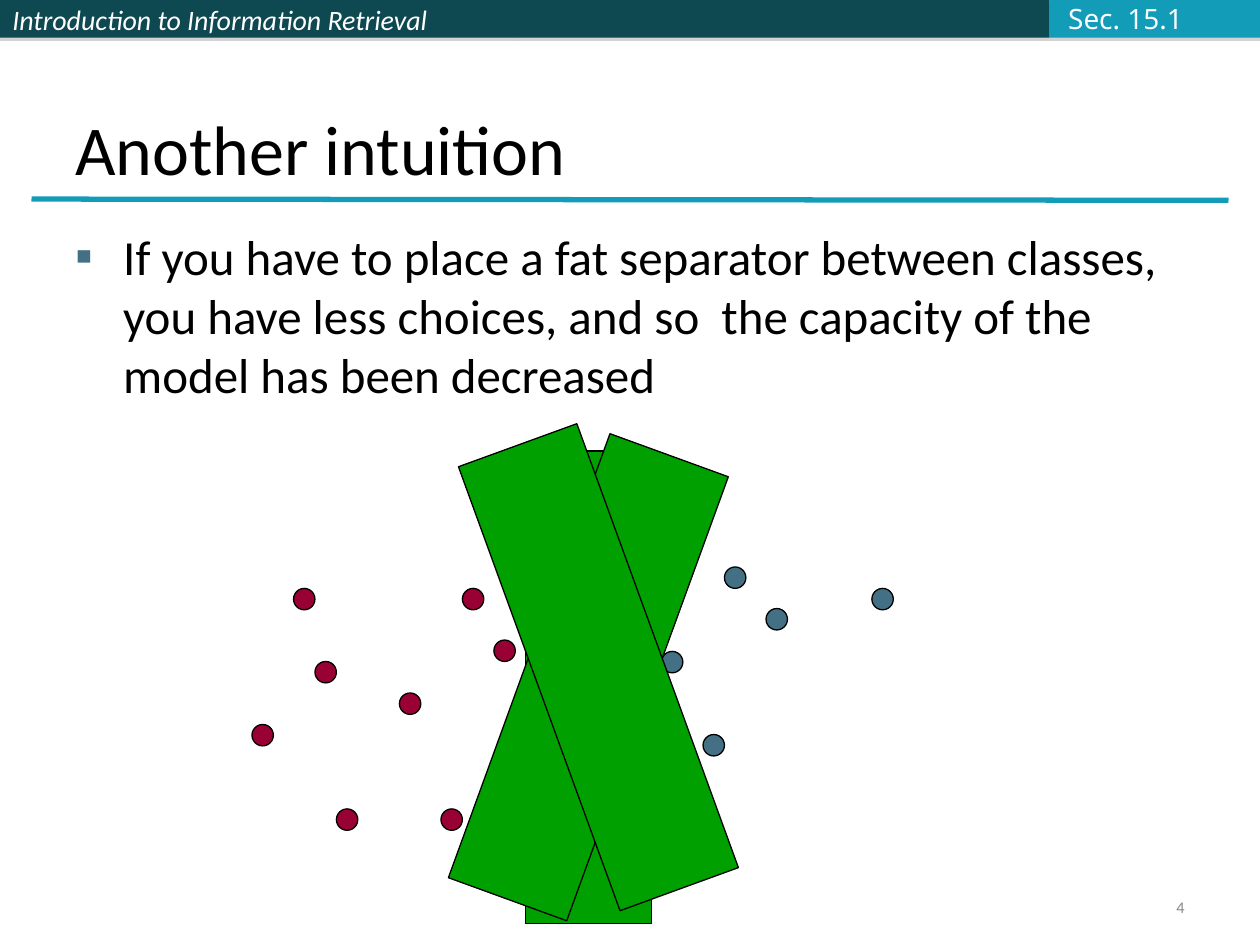
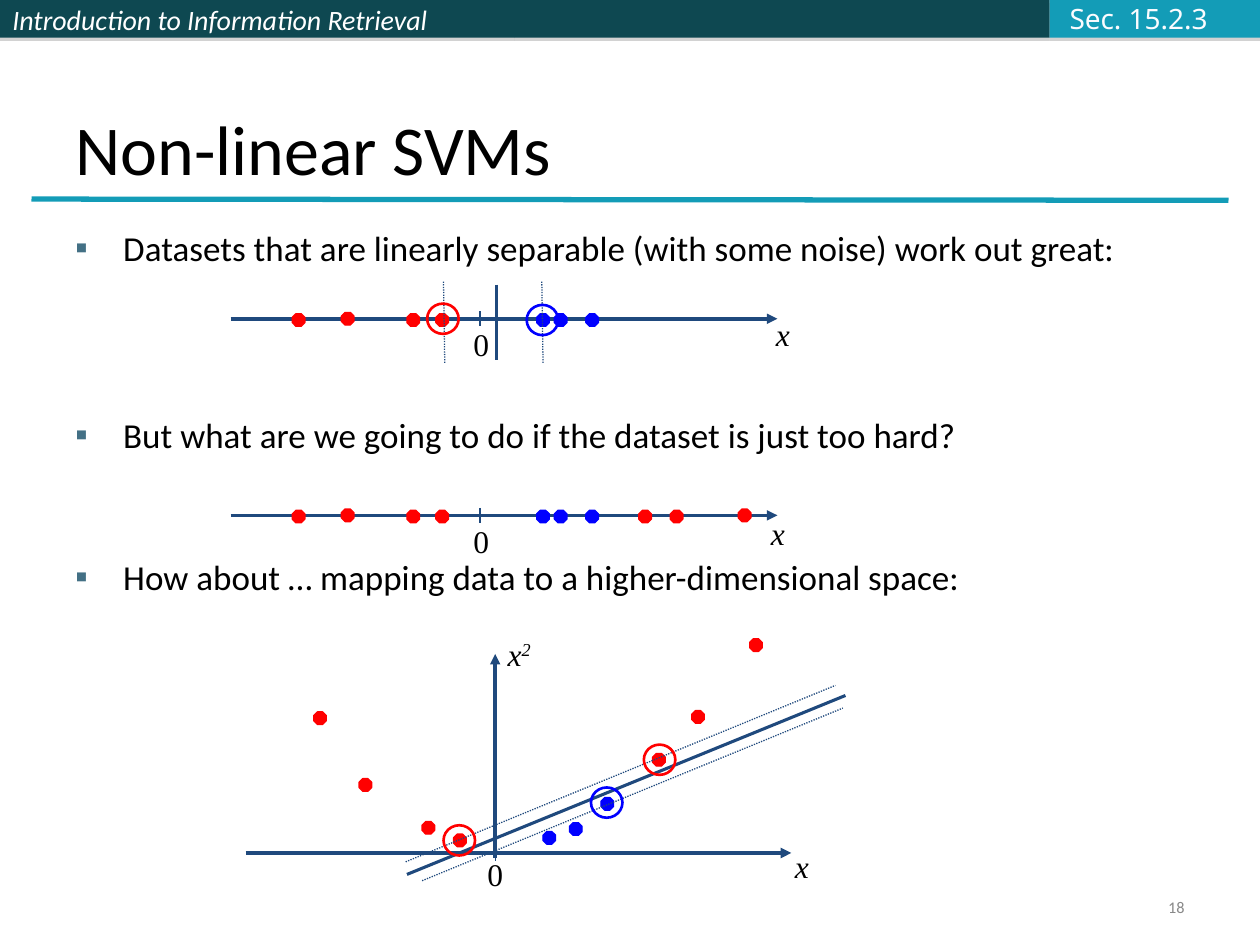
from lxml import etree
from pptx import Presentation
from pptx.dml.color import RGBColor
from pptx.enum.dml import MSO_LINE
from pptx.enum.shapes import MSO_CONNECTOR, MSO_SHAPE
from pptx.enum.text import MSO_ANCHOR, PP_ALIGN
from pptx.oxml.ns import qn
from pptx.util import Inches, Pt

RECTANGLE, OVAL, OCTAGON = MSO_SHAPE.RECTANGLE, MSO_SHAPE.OVAL, MSO_SHAPE.OCTAGON
STRAIGHT, DOTTED = MSO_CONNECTOR.STRAIGHT, MSO_LINE.ROUND_DOT
TOP, MIDDLE, BOTTOM = MSO_ANCHOR.TOP, MSO_ANCHOR.MIDDLE, MSO_ANCHOR.BOTTOM
LEFT, RIGHT = PP_ALIGN.LEFT, PP_ALIGN.RIGHT

COLORS = {
    "band": "0E4851", "accent": "139CB7", "shadow": "808080",
    "white": "FFFFFF", "section": "FBFCFF", "black": "000000",
    "number": "898989", "bullet": "437085", "crimson": "990033",
    "separator": "00A000", "axis": "1F497D", "red": "FF0000", "blue": "0000FF",
}

STYLES = {
    "header": {"color": "white", "anchor": MIDDLE,
               "font": {"name": "Calibri", "size": Pt(16), "italic": True}},
    "section": {"color": "section", "anchor": MIDDLE,
                "font": {"name": "Noto Sans", "size": Pt(16)}},
    "number": {"color": "number", "anchor": MIDDLE,
               "paragraph": {"alignment": RIGHT, "line_spacing": 0.8},
               "font": {"name": "Calibri", "size": Pt(9.3)}},
    "title": {"color": "black", "anchor": BOTTOM,
              "font": {"name": "Calibri", "size": Pt(40)}},
    "large body": {"color": "black", "gaps": [7],
                   "font": {"name": "Calibri", "size": Pt(28)}},
    "small body": {"color": "black", "gaps": [5, 83, 57],
                   "font": {"name": "Calibri", "size": Pt(20)}},
    "variable": {"color": "black",
                 "font": {"name": "Times New Roman", "size": Pt(18), "italic": True}},
    "origin": {"color": "black",
               "font": {"name": "Times New Roman", "size": Pt(18)}},
}


def add_shape(slide, kind, box, fill=None, line=None, width=0.75):
    shape = slide.shapes.add_shape(kind, *map(Inches, box))
    shape.shadow.inherit = False
    if fill:
        shape.fill.solid()
        shape.fill.fore_color.rgb = RGBColor.from_string(COLORS[fill])
    else:
        shape.fill.background()
    if line:
        shape.line.color.rgb = RGBColor.from_string(COLORS[line])
        shape.line.width = Pt(width)
    else:
        shape.line.fill.background()
    return shape


def add_line(slide, ends, color="axis", width=1.5, dotted=False, arrow=False):
    connector = slide.shapes.add_connector(STRAIGHT, *map(Inches, ends))
    connector.line.color.rgb = RGBColor.from_string(COLORS[color])
    connector.line.width = Pt(width)
    if dotted:
        connector.line.dash_style = DOTTED
    properties = connector._element.spPr
    if arrow:
        etree.SubElement(properties.find(qn("a:ln")), qn("a:tailEnd"), type="triangle")
    etree.SubElement(properties, qn("a:effectLst"))


presentation = Presentation()
presentation.slide_width = Inches(10)
presentation.slide_height = Inches(7.5)
blank_layout = presentation.slide_layouts[6]

contents = [
    ("Another intuition", "Sec. 15.1", 8.38, "4", "large body", [
        "If you have to place a fat separator between classes, you have less choices, "
        "and so  the capacity of the model has been decreased"]),
    ("Non-linear SVMs", "Sec. 15.2.3", 8.39, "18", "small body", [
        "Datasets that are linearly separable (with some noise) work out great:",
        "But what are we going to do if the dataset is just too hard?",
        "How about … mapping data to a higher-dimensional space:"]),
]
bands = [(0, 4.08, "band"), (4.08, 4.25, "band"), (8.33, 1.67, "accent")]
slides = []
texts = []
for title, section, section_left, number, body_style, bullets in contents:
    slide = presentation.slides.add_slide(blank_layout)
    slides.append(slide)
    band_shapes = []
    for left, width, color in bands:
        band = add_shape(slide, RECTANGLE, (left, 0, width, 0.3), color)
        effects = band._element.spPr.find(qn("a:effectLst"))
        shadow = etree.SubElement(effects, qn("a:outerShdw"), dist=str(Pt(1.8)), dir="5400000")
        shade = etree.SubElement(shadow, qn("a:srgbClr"), val=COLORS["shadow"])
        etree.SubElement(shade, qn("a:alpha"), val="35000")
        band_shapes.append(band)
    add_line(slide, (0.25, 1.58, 9.75, 1.59), "accent", 3)
    texts.append((band_shapes[0], "header", ["Introduction to Information Retrieval"]))
    for box, style_name, paragraphs in [
        ((section_left, -0.04, 1.6, 0.37), "section", [section]),
        ((7.17, 7.08, 2.33, 0.27), "number", [number]),
        ((0.5, 0.3, 9, 1.25), "title", [title]),
        ((0.5, 1.75, 9, 5.42), body_style, bullets),
    ]:
        text_box = slide.shapes.add_textbox(*map(Inches, box))
        texts.append((text_box, style_name, paragraphs))

intuition, svms = slides

class_points = {
    "crimson": [(2.33, 4.67), (2.5, 5.25), (2.67, 6.42), (3.67, 4.67),
                (2, 5.75), (3.17, 5.5), (3.92, 5.08), (3.5, 6.42)],
    "bullet": [(5.25, 5.17), (5.58, 5.83), (5.75, 4.5), (6.92, 4.67), (6.08, 4.83)],
}
for color, points in class_points.items():
    for left, top in points:
        add_shape(intuition, OVAL, (left, top, 0.17, 0.17), color, "black")
for left, top, rotation in [(4.17, 3.58, 0), (4.17, 3.5, 20), (4.25, 3.42, 340)]:
    separator = add_shape(intuition, RECTANGLE, (left, top, 1, 3.75), "separator", "black")
    separator.rotation = rotation

for axis_y in (2.53, 4.09):
    add_line(svms, (1.83, axis_y, 6.17, axis_y), width=2, arrow=True)
    add_line(svms, (3.81, axis_y - 0.06, 3.81, axis_y + 0.06))
add_line(svms, (1.95, 6.77, 6.28, 6.77), width=2, arrow=True)
add_line(svms, (3.93, 6.71, 3.93, 6.83), width=0.75)
add_line(svms, (3.93, 6.81, 3.93, 5.19), width=2, arrow=True)

easy_points = {
    "red": [(2.32, 0), (2.71, -0.01), (3.23, 0), (3.46, 0)],
    "blue": [(4.26, 0), (4.4, 0), (4.65, 0)],
}
hard_points = {
    "red": easy_points["red"] + [(5.07, 0), (5.32, 0), (5.86, -0.01)],
    "blue": easy_points["blue"],
}
mapped_points = {
    "red": [(2.49, 5.65), (2.85, 6.18), (3.35, 6.52), (3.6, 6.62),
            (5.18, 5.98), (5.49, 5.64), (5.95, 5.07)],
    "blue": [(4.31, 6.6), (4.52, 6.53), (4.77, 6.33)],
}
for base, dataset in [(2.49, easy_points), (4.05, hard_points), (0, mapped_points)]:
    for color, points in dataset.items():
        for left, rise in points:
            add_shape(svms, OCTAGON, (left, base + rise, 0.1, 0.1), color, color)

add_line(svms, (3.94, 2.26, 3.94, 2.86))
add_line(svms, (3.23, 6.94, 6.71, 5.52), width=1.75)
for margin in [(4.31, 2.88, 4.3, 2.23), (3.53, 2.88, 3.52, 2.23),
               (3.22, 6.84, 6.63, 5.44), (3.35, 6.99, 6.69, 5.62)]:
    add_line(svms, margin, width=0.75, dotted=True)

for left, top, color in [(4.18, 2.42, "blue"), (3.39, 2.41, "red"), (5.11, 5.91, "red"),
                         (4.69, 6.25, "blue"), (3.52, 6.55, "red")]:
    add_shape(svms, OVAL, (left, top, 0.25, 0.24), line=color, width=1.5)

for label, left, top, width, style_name in [
    ("0", 3.66, 2.53, 0.37, "origin"), ("x", 6.06, 2.45, 0.5, "variable"),
    ("0", 3.66, 4.09, 0.37, "origin"), ("x", 6.02, 4.03, 0.5, "variable"),
    ("0", 3.77, 6.74, 0.37, "origin"), ("x", 6.21, 6.67, 0.5, "variable"),
    ("x^2", 3.93, 4.99, 0.5, "variable"),
]:
    text_box = svms.shapes.add_textbox(*map(Inches, (left, top, width, 0.4)))
    texts.append((text_box, style_name, [label]))

for shape, style_name, paragraphs in texts:
    style = STYLES[style_name]
    frame = shape.text_frame
    frame.word_wrap = True
    frame.vertical_anchor = style.get("anchor", TOP)
    for index, text in enumerate(paragraphs):
        paragraph = frame.add_paragraph() if index else frame.paragraphs[0]
        paragraph.alignment = LEFT
        for name, value in style.get("paragraph", {}).items():
            setattr(paragraph, name, value)
        if "gaps" in style:
            paragraph.space_before = Pt(style["gaps"][index])
            properties = paragraph._p.get_or_add_pPr()
            properties.set("marL", str(Inches(0.38)))
            properties.set("indent", str(-Inches(0.38)))
            bullet_color = etree.SubElement(properties, qn("a:buClr"))
            etree.SubElement(bullet_color, qn("a:srgbClr"), val=COLORS["bullet"])
            etree.SubElement(properties, qn("a:buFont"), typeface="Calibri")
            etree.SubElement(properties, qn("a:buChar"), char="▪")
        base, _, power = text.partition("^")
        for part, baseline in [(base, 0), (power, 30000)]:
            if part:
                run = paragraph.add_run()
                run.text = part
                for name, value in style["font"].items():
                    setattr(run.font, name, value)
                run.font.color.rgb = RGBColor.from_string(COLORS[style["color"]])
                if baseline:
                    run._r.get_or_add_rPr().set("baseline", str(baseline))

presentation.save("out.pptx")
